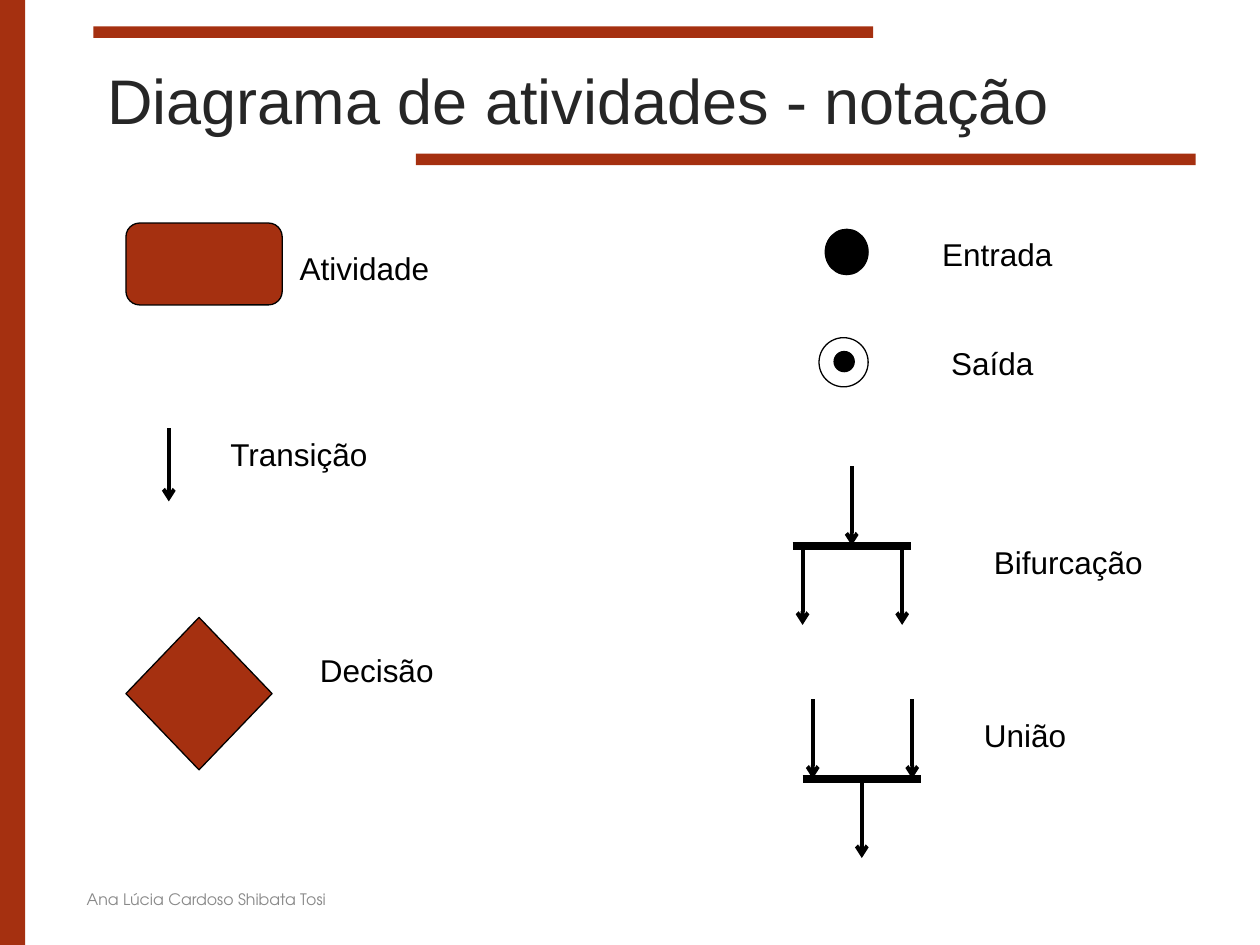
"""Build the slide that shows the notation of activity diagrams."""
from typing import NamedTuple

from lxml.etree import SubElement
from pptx import Presentation
from pptx.dml.color import RGBColor
from pptx.enum.shapes import MSO_CONNECTOR as Link, MSO_SHAPE as Kind
from pptx.enum.text import MSO_ANCHOR as Anchor, PP_ALIGN as Align
from pptx.oxml.ns import qn
from pptx.util import Inches, Pt

RUST = RGBColor(0xA5, 0x30, 0x10)
BLACK = RGBColor(0, 0, 0)
WHITE = RGBColor(0xFF, 0xFF, 0xFF)
DARK = RGBColor(0x26, 0x26, 0x26)
GRAY = RGBColor(0x89, 0x89, 0x89)


class Box(NamedTuple):
    x: float
    y: float
    w: float
    h: float


class Node(NamedTuple):
    kind: Kind
    box: Box
    fill: RGBColor


class Label(NamedTuple):
    text: str
    box: Box
    wrap: bool = False


class Fork(NamedTuple):
    x: float
    y: float
    heads: tuple
    tails: tuple


BANDS = [Box(0, 0, 0.2, 7.5), Box(0.74, 0.21, 6.19, 0.09), Box(3.3, 1.22, 6.19, 0.09)]
NODES = [
    Node(Kind.ROUNDED_RECTANGLE, Box(1, 1.77, 1.24, 0.65), RUST),
    Node(Kind.DIAMOND, Box(1, 4.9, 1.16, 1.21), RUST),
    Node(Kind.OVAL, Box(6.55, 1.82, 0.34, 0.36), BLACK),
    Node(Kind.OVAL, Box(6.5, 2.68, 0.39, 0.39), WHITE),
    Node(Kind.OVAL, Box(6.62, 2.79, 0.16, 0.16), BLACK),
]
LABELS = [
    Label("Atividade", Box(2.28, 1.93, 1.23, 0.4)),
    Label("Transição", Box(1.73, 3.4, 2.53, 0.4), True),
    Label("Decisão", Box(2.44, 5.12, 1.1, 0.4)),
    Label("Entrada", Box(7.38, 1.82, 1.1, 0.4)),
    Label("Saída", Box(7.45, 2.68, 0.87, 0.4)),
    Label("Bifurcação", Box(7.79, 4.26, 1.4, 0.4)),
    Label("União", Box(7.71, 5.63, 0.87, 0.4)),
]
SIDES, MID = (0.08, 0.87), (0.47,)
FORKS = [Fork(6.29, 4.33, MID, SIDES), Fork(6.37, 6.18, SIDES, MID)]
BAR, STEM = 0.94, 0.63


def style(frame, size: float, color: RGBColor, font: str = "Arial") -> None:
    """Format every run of a text frame."""
    for para in frame.paragraphs:
        para.alignment = Align.LEFT
        for run in para.runs:
            run.font.size = Pt(size)
            run.font.name = font
            run.font.color.rgb = color


def draw_shape(slide, node: Node, edge: bool = True) -> None:
    """Draw a filled shape, with a thin black edge if asked."""
    shape = slide.shapes.add_shape(node.kind, *map(Inches, node.box))
    shape.shadow.inherit = False
    shape.fill.solid()
    shape.fill.fore_color.rgb = node.fill
    if edge:
        shape.line.color.rgb = BLACK
        shape.line.width = Pt(0.75)
    else:
        shape.line.fill.background()


def draw_line(slide, start: tuple, end: tuple, width: float = 2.25, arrow: bool = True) -> None:
    """Draw a black line, with an arrowhead at its end if asked."""
    line = slide.shapes.add_connector(Link.STRAIGHT, *map(Inches, start + end))
    line.line.color.rgb = BLACK
    line.line.width = Pt(width)
    if arrow:
        SubElement(line.get_or_add_ln(), qn("a:tailEnd"), type="arrow")
    SubElement(line.element.spPr, qn("a:effectLst"))


def draw_fork(slide, fork: Fork) -> None:
    """Draw a bar with arrows that enter from above and leave below."""
    x, y = fork.x, fork.y
    draw_line(slide, (x, y), (x + BAR, y), 4.5, False)
    for gap in fork.heads:
        draw_line(slide, (x + gap, y - STEM), (x + gap, y))
    for gap in fork.tails:
        draw_line(slide, (x + gap, y), (x + gap, y + STEM))


def draw_text(slide, label: Label):
    """Add a text box and return its frame."""
    frame = slide.shapes.add_textbox(*map(Inches, label.box)).text_frame
    frame.word_wrap = label.wrap
    frame.text = label.text
    return frame


def set_title(slide, text: str, box: Box) -> None:
    """Place and format the title."""
    title = slide.shapes.title
    title.left, title.top, title.width, title.height = map(Inches, box)
    frame = title.text_frame
    frame.text = text
    frame.vertical_anchor = Anchor.BOTTOM
    style(frame, 36, DARK)


def main() -> None:
    """Build and save the slide."""
    deck = Presentation()
    deck.slide_width, deck.slide_height = Inches(10), Inches(7.5)
    slide = deck.slides.add_slide(deck.slide_layouts[5])
    for box in BANDS:
        draw_shape(slide, Node(Kind.RECTANGLE, box, RUST), False)
    set_title(slide, "Diagrama de atividades - notação", Box(0.75, 0.44, 8.74, 0.7))
    foot = draw_text(slide, Label("Ana Lúcia Cardoso Shibata Tosi", Box(0.59, 6.94, 8.03, 0.4), True))
    foot.vertical_anchor = Anchor.MIDDLE
    style(foot, 9, GRAY, "TeX Gyre Adventor")
    for node in NODES:
        draw_shape(slide, node)
    draw_line(slide, (1.34, 3.4), (1.34, 3.98))
    for fork in FORKS:
        draw_fork(slide, fork)
    for label in LABELS:
        style(draw_text(slide, label), 18, BLACK)
    deck.save("out.pptx")


if __name__ == "__main__":
    main()
